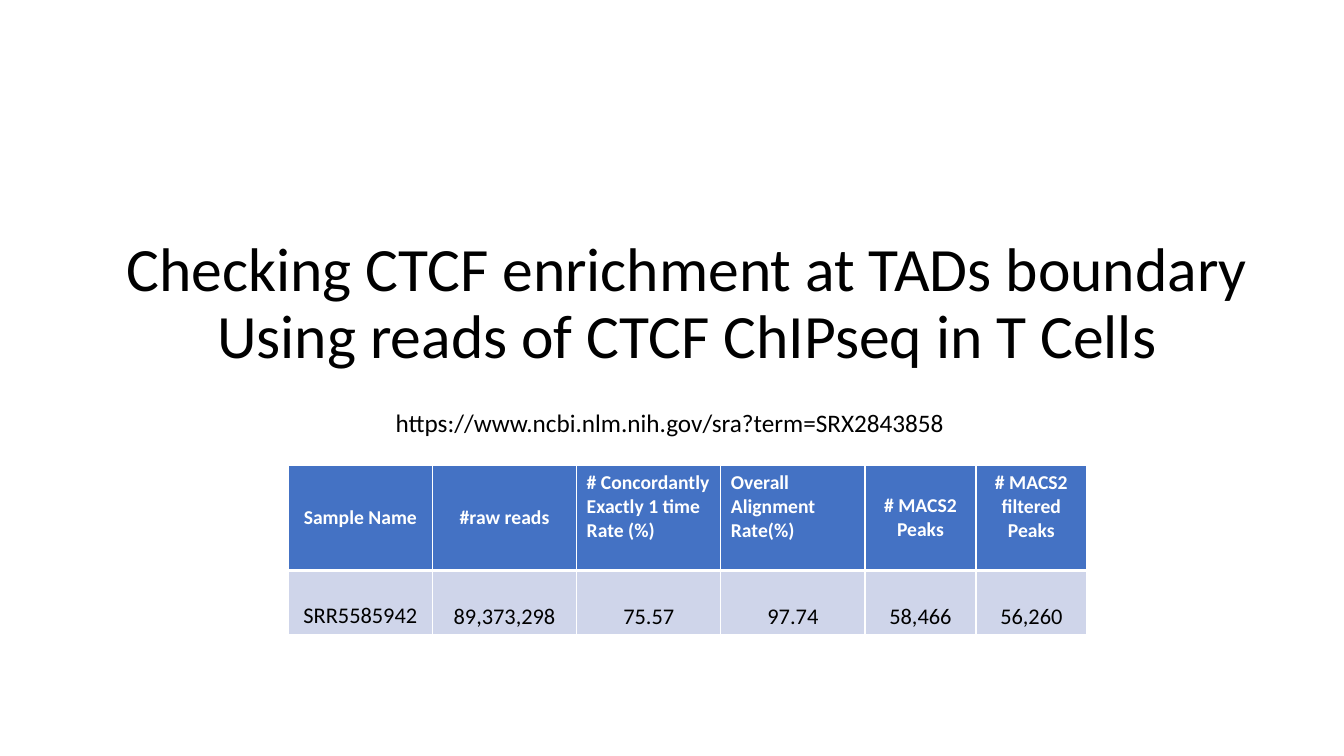
"""Build the CTCF enrichment slide with its read and peak table."""
from dataclasses import dataclass
from lxml.etree import SubElement as Sub
from pptx import Presentation
from pptx.dml.color import RGBColor as Rgb
from pptx.enum.text import MSO_ANCHOR as Anchor, MSO_AUTO_SIZE as Auto, PP_ALIGN as Align
from pptx.oxml.ns import qn
from pptx.util import Inches, Pt

TITLE = ["Checking CTCF enrichment at TADs boundary",
         "Using reads of CTCF ChIPseq in T Cells"]
LINK = "https://www.ncbi.nlm.nih.gov/sra?term=SRX2843858"
MID, TOP, LOW = Anchor.MIDDLE, Anchor.TOP, Anchor.BOTTOM
HEAD = [("Sample Name", MID, Align.CENTER),
        ("#raw reads", MID, Align.CENTER),
        ("# Concordantly Exactly 1 time Rate (%)", TOP, Align.LEFT),
        ("Overall Alignment Rate(%)", TOP, Align.LEFT),
        ("# MACS2 Peaks", MID, Align.CENTER),
        ("# MACS2 filtered Peaks", TOP, Align.CENTER)]
DATA = ["SRR5585942", "89,373,298", "75.57", "97.74", "58,466", "56,260"]

WIDE, HIGH = 13.33, 7.5
COLS = [1.43] * 4 + [1.1] * 2
ROWS = [1.04, 0.63]
BOXES = {"title": (0.08, 0.307, 0.863, 0.193),
         "link": (0.287, 0.532, 0.428, 0.053),
         "table": (0.2145, 0.616, sum(COLS) / WIDE, sum(ROWS) / HIGH)}


@dataclass(frozen=True)
class Theme:
    font: str = "Calibri"
    ink: str = "000000"
    pale: str = "FFFFFF"
    blue: str = "4472C4"
    tint: str = "CFD5EA"
    title: int = 44
    link: int = 18
    head: int = 14
    data: int = 16
    thin: int = 1
    thick: int = 3


LOOK = Theme()


def place(name):
    left, top, wide, high = BOXES[name]
    return [Inches(n) for n in (left * WIDE, top * HIGH, wide * WIDE, high * HIGH)]


def write(par, text, size, ink, bold=False):
    run = par.add_run()
    run.text = text
    font = run.font
    font.name, font.size, font.bold = LOOK.font, Pt(size), bold
    font.color.rgb = Rgb.from_string(ink)


def edge(cell, side, width):
    line = Sub(cell._tc.get_or_add_tcPr(), qn(f"a:ln{side}"), w=str(Pt(width)))
    fill = Sub(line, qn("a:solidFill"))
    Sub(fill, qn("a:srgbClr"), val=LOOK.pale)


def paint(cell, fill, anchor, widths):
    for side, width in zip("LRTB", widths):
        edge(cell, side, width)
    cell.fill.solid()
    cell.fill.fore_color.rgb = Rgb.from_string(fill)
    cell.vertical_anchor = anchor


def add_title(slide):
    shape = slide.shapes.title
    shape.left, shape.top, shape.width, shape.height = place("title")
    frame = shape.text_frame
    frame.auto_size, frame.vertical_anchor = Auto.NONE, MID
    par = frame.paragraphs[0]
    par.alignment, par.line_spacing = Align.CENTER, 0.9
    for num, text in enumerate(TITLE):
        if num:
            par.add_line_break()
        write(par, text, LOOK.title, LOOK.ink)


def add_link(slide):
    frame = slide.shapes.add_textbox(*place("link")).text_frame
    frame.word_wrap, frame.auto_size = False, Auto.SHAPE_TO_FIT_TEXT
    write(frame.paragraphs[0], LINK, LOOK.link, LOOK.ink)


def add_grid(slide):
    grid = slide.shapes.add_table(len(ROWS), len(COLS), *place("table")).table
    for col, wide in zip(grid.columns, COLS):
        col.width = Inches(wide)
    for row, high in zip(grid.rows, ROWS):
        row.height = Inches(high)
    thin, thick = LOOK.thin, LOOK.thick
    for num, (text, anchor, align) in enumerate(HEAD):
        cell = grid.cell(0, num)
        paint(cell, LOOK.blue, anchor, (thin, thin, thin, thick))
        par = cell.text_frame.paragraphs[0]
        par.alignment = align
        write(par, text, LOOK.head, LOOK.pale, True)
    for num, text in enumerate(DATA):
        cell = grid.cell(1, num)
        paint(cell, LOOK.tint, MID if num else LOW, (thin, thin, thick, thin))
        par = cell.text_frame.paragraphs[0]
        par.alignment, par.line_spacing = Align.CENTER, 2.0 if num else 1.0
        write(par, text, LOOK.data, LOOK.ink)


def main():
    deck = Presentation()
    deck.slide_width, deck.slide_height = Inches(WIDE), Inches(HIGH)
    slide = deck.slides.add_slide(deck.slide_layouts[5])
    add_title(slide)
    add_link(slide)
    add_grid(slide)
    deck.save("out.pptx")


if __name__ == "__main__":
    main()
